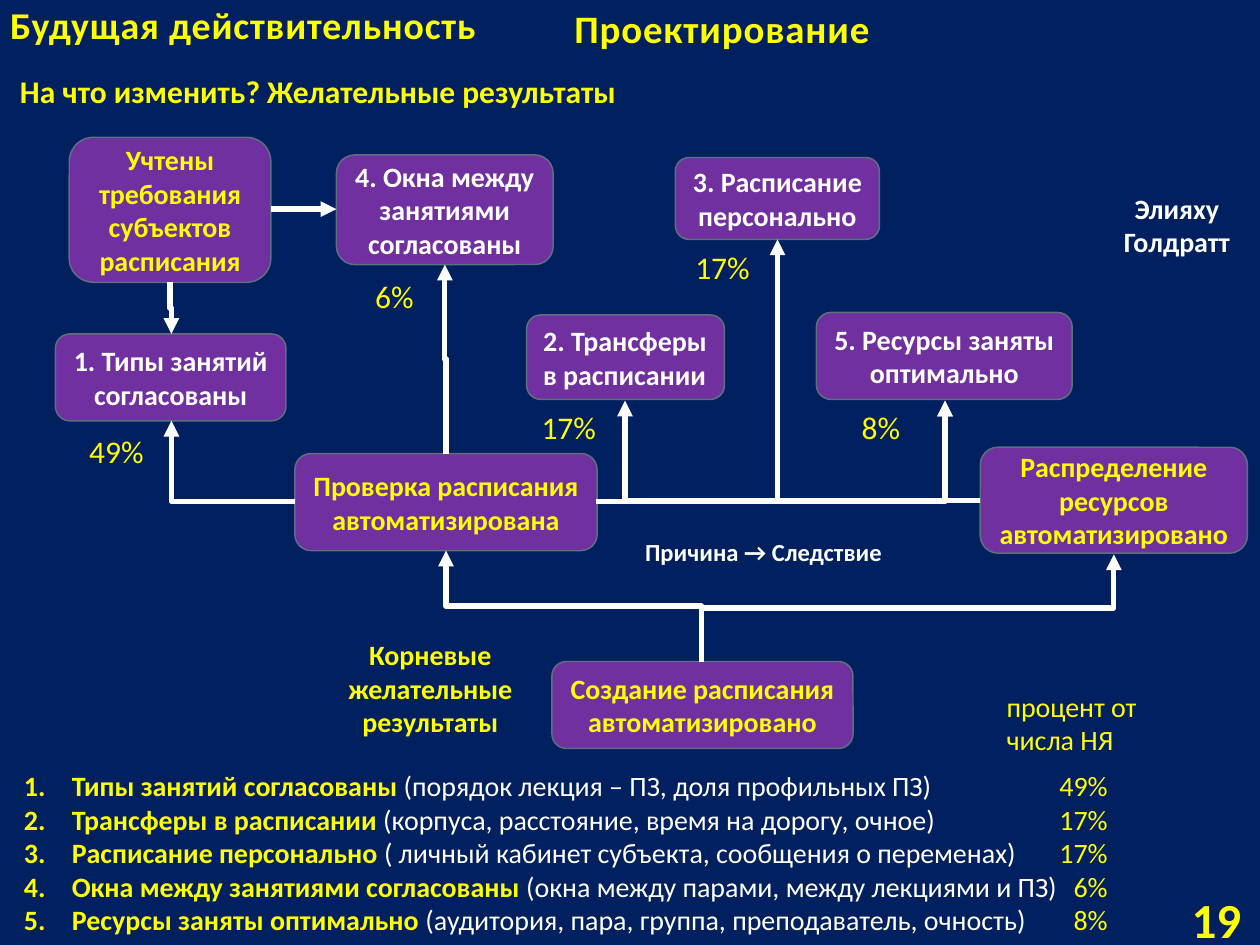
import pptx
import pptx.util
import pptx.dml.color
import pptx.enum.shapes
import pptx.enum.text
import pptx.oxml.ns
from lxml import etree

Inches, Pt = pptx.util.Inches, pptx.util.Pt
qn = pptx.oxml.ns.qn
ALIGN = pptx.enum.text.PP_ALIGN
ANCHOR = pptx.enum.text.MSO_ANCHOR
ELBOW = pptx.enum.shapes.MSO_CONNECTOR.ELBOW
COLORS = {"navy": "002060", "purple": "7030A0", "edge": "5D7080",
          "yellow": "FFFF00", "white": "FFFFFF"}


def rgb(name):
    return pptx.dml.color.RGBColor.from_string(COLORS[name])


def add_text(p, text, size=16, color="yellow", bold=True, spacing=None):
    r = p.add_run()
    r.text = text
    r.font.name, r.font.size, r.font.bold = "Calibri", Pt(size), bold
    r.font.color.rgb = rgb(color)
    if spacing:
        r.font._element.set("spc", str(int(spacing * 100)))


def fill_frame(tf, text, align=ALIGN.LEFT, anchor=ANCHOR.TOP, wrap=True, **font):
    """Write each line of text as its own paragraph."""
    tf.word_wrap, tf.vertical_anchor = wrap, anchor
    tf.auto_size = pptx.enum.text.MSO_AUTO_SIZE.NONE
    for i, line in enumerate(text.split("\n")):
        p = tf.add_paragraph() if i else tf.paragraphs[0]
        p.alignment = align
        add_text(p, line, **font)


class Board:
    def __init__(self, prs):
        self.slide = prs.slides.add_slide(prs.slide_layouts[1])
        self.shapes = self.slide.shapes
        bg = self.slide.background.fill
        bg.solid()
        bg.fore_color.rgb = rgb("navy")

    def place(self, sp, box):
        sp.left, sp.top, sp.width, sp.height = map(Inches, box)
        return sp

    def title(self, box, text, **style):
        fill_frame(self.place(self.shapes.title, box).text_frame, text, **style)

    def numbered(self, box, rows):
        tf = self.place(self.slide.placeholders[1], box).text_frame
        tf.word_wrap = True
        tf.auto_size = pptx.enum.text.MSO_AUTO_SIZE.NONE
        for i, (head, note) in enumerate(rows):
            p = tf.add_paragraph() if i else tf.paragraphs[0]
            p.space_before = Pt(0)
            pPr = p._p.get_or_add_pPr()
            pPr.set("marL", str(Inches(0.38)))
            pPr.set("indent", str(-Inches(0.38)))
            etree.SubElement(pPr, qn("a:buFont"), typeface="+mj-lt")
            etree.SubElement(pPr, qn("a:buAutoNum"), type="arabicPeriod")
            add_text(p, head + " ")
            add_text(p, note, color="white", bold=False)

    def label(self, box, text, **style):
        sp = self.shapes.add_textbox(*map(Inches, box))
        fill_frame(sp.text_frame, text, **style)

    def node(self, box, text, color="white", align=ALIGN.CENTER):
        sp = self.shapes.add_shape(
            pptx.enum.shapes.MSO_SHAPE.ROUNDED_RECTANGLE, *map(Inches, box))
        sp.shadow.inherit = False
        sp.fill.solid()
        sp.fill.fore_color.rgb = rgb("purple")
        sp.line.color.rgb, sp.line.width = rgb("edge"), Pt(0.85)
        fill_frame(sp.text_frame, text, align, ANCHOR.MIDDLE, color=color)

    def arrow(self, x1, y1, x2, y2):
        """Elbow connector with its arrowhead at (x1, y1)."""
        c = self.shapes.add_connector(ELBOW, *map(Inches, (x1, y1, x2, y2)))
        c.line.color.rgb, c.line.width = rgb("white"), Pt(3)
        etree.SubElement(c.line._get_or_add_ln(), qn("a:headEnd"), type="triangle")
        etree.SubElement(c._element.spPr, qn("a:effectLst"))
        return c

    def upright_arrow(self, x1, y1, x2, y2, preset="bentConnector2"):
        """Elbow connector that leaves its arrowhead vertically."""
        cx, cy = (x1 + x2) / 2, (y1 + y2) / 2
        dx, dy = abs(x2 - x1) / 2, abs(y2 - y1) / 2
        c = self.arrow(cx - dy, cy - dx, cx + dy, cy + dx)
        xfrm = c._element.spPr.find(qn("a:xfrm"))
        down_left = y2 > y1 and x2 < x1
        xfrm.set("rot", str((90 if down_left else 270) * 60000))
        if not down_left:
            xfrm.set("flipH" if y2 > y1 else "flipV", "1")
        c._element.spPr.find(qn("a:prstGeom")).set("prst", preset)


def main():
    prs = pptx.Presentation()
    prs.slide_width, prs.slide_height = Inches(10), Inches(7.5)
    s = Board(prs)
    center = {"align": ALIGN.CENTER}
    heading = {"anchor": ANCHOR.MIDDLE, "wrap": False, "spacing": 0.5}

    s.title((-0.02, -0.05, 4.05, 0.48), "Будущая действительность", size=21.6, **heading)
    s.label((4.46, 0, 2.67, 0.45), "Проектирование", size=22.2, **heading)
    s.label((0.06, 0.52, 5.15, 0.4), "На что изменить? Желательные результаты", size=18)

    for box, text in [
        ((0.44, 2.65, 1.83, 0.69), "1. Типы занятий согласованы"),
        ((5.36, 1.25, 1.62, 0.65), "3. Расписание персонально"),
        ((2.67, 1.23, 1.72, 0.87), "4. Окна между занятиями согласованы"),
        ((6.48, 2.48, 2.03, 0.69), "5. Ресурсы заняты оптимально"),
    ]:
        s.node(box, text)
    s.node((4.18, 2.5, 1.57, 0.67), "2. Трансферы в расписании", align=ALIGN.LEFT)
    for box, text in [
        ((0.55, 1.09, 1.6, 1.15), "Учтены требования субъектов расписания"),
        ((7.78, 3.55, 2.12, 0.84), "Распределение ресурсов\nавтоматизировано"),
        ((4.38, 5.25, 2.39, 0.69), "Создание расписания автоматизировано"),
        ((2.34, 3.6, 2.4, 0.77), "Проверка расписания автоматизирована"),
    ]:
        s.node(box, text, color="yellow")

    for ends in [
        (1.36, 3.34, 2.34, 3.98), (7.5, 3.18, 4.73, 3.98), (4.96, 3.18, 7.78, 3.97),
        (6.17, 1.9, 7.78, 3.97), (7.5, 3.18, 7.78, 3.97),
    ]:
        s.upright_arrow(*ends)
    for ends in [
        (8.84, 4.4, 5.57, 5.25), (3.54, 4.37, 5.57, 5.25),
        (1.36, 2.65, 1.35, 2.24), (3.53, 2.1, 3.54, 3.6),
    ]:
        s.upright_arrow(*ends, preset="bentConnector3")
    s.arrow(2.67, 1.66, 2.15, 1.66)

    for x, y, share in [(0.61, 3.38, "49%"), (4.2, 3.19, "17%"), (5.42, 1.92, "17%"),
                        (6.74, 3.19, "8%"), (2.88, 2.15, "6%")]:
        s.label((x, y, 0.7, 0.4), share, size=18, bold=False)

    s.label((8.8, 1.47, 1.08, 0.64), "Элияху Голдратт", color="white", **center)
    s.label((4.92, 4.21, 2.28, 0.34), "Причина → Следствие", size=14, color="white", **center)
    s.label((2.47, 5.01, 1.89, 0.91), "Корневые желательные результаты", **center)
    s.label((7.89, 5.42, 1.32, 0.64), "процент от\nчисла НЯ", bold=False)

    s.numbered((0.09, 6.05, 8.5, 1.45), [
        ("Типы занятий согласованы", "(порядок лекция – ПЗ, доля профильных ПЗ)"),
        ("Трансферы в расписании", "(корпуса, расстояние, время на дорогу, очное)"),
        ("Расписание персонально", "( личный кабинет субъекта, сообщения о переменах)"),
        ("Окна между занятиями согласованы", "(окна между парами, между лекциями и ПЗ)"),
        ("Ресурсы заняты оптимально", "(аудитория, пара, группа, преподаватель, очность)"),
    ])
    s.label((8.19, 6.05, 0.7, 1.45), "49%\n17%\n17%\n6%\n8%", bold=False, align=ALIGN.RIGHT)
    s.label((9, 7.09, 0.95, 0.4), "19", size=28, align=ALIGN.RIGHT, anchor=ANCHOR.MIDDLE)
    prs.save("out.pptx")


if __name__ == "__main__":
    main()
